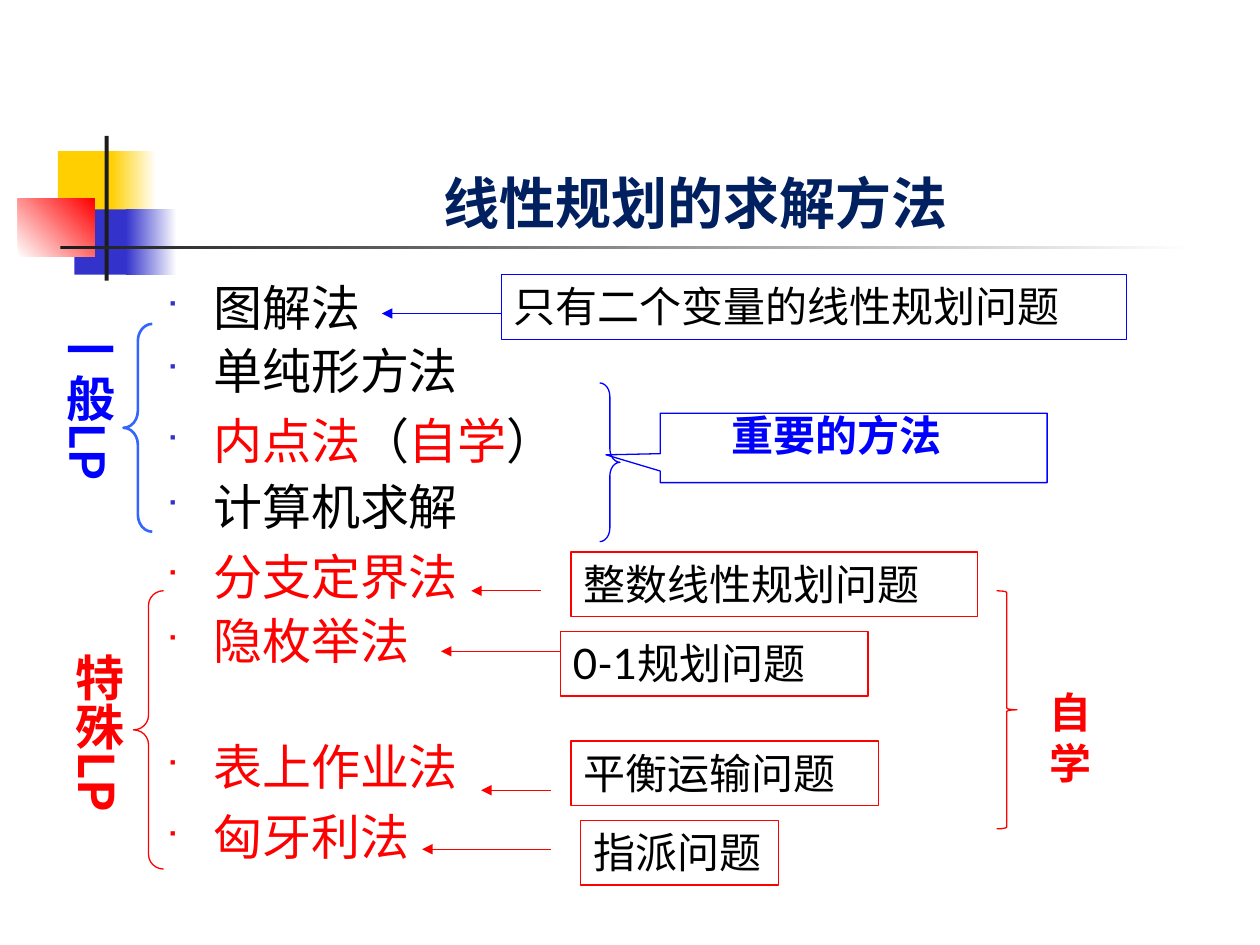
from typing import NamedTuple, Optional

from lxml.etree import SubElement
from pptx import Presentation
from pptx.dml.color import RGBColor
from pptx.enum.shapes import MSO_CONNECTOR, MSO_SHAPE
from pptx.enum.text import MSO_ANCHOR, PP_ALIGN
from pptx.oxml.ns import qn
from pptx.util import Cm, Pt

WHITE = RGBColor(0xFF, 0xFF, 0xFF)
BLACK = RGBColor(0, 0, 0)
CHARCOAL = RGBColor(0x1C, 0x1C, 0x1C)
YELLOW = RGBColor(0xFF, 0xCF, 0x01)
INDIGO = RGBColor(0x33, 0x33, 0xCC)
NAVY = RGBColor(0x00, 0x20, 0x60)
BLUE = RGBColor(0x00, 0x00, 0xFF)
SKY = RGBColor(0x33, 0x66, 0xFF)
RED = RGBColor(0xFF, 0x00, 0x00)

LATO = "Lato"
NOTO = "Noto Sans CJK SC"


class Area(NamedTuple):
    """Left, top, width and height in centimetres."""
    left: float
    top: float
    width: float
    height: float

    def lengths(self) -> list:
        return [Cm(value) for value in self]


class Block(NamedTuple):
    area: Area
    start: RGBColor
    end: Optional[RGBColor] = None
    angle: float = 0


class Method(NamedTuple):
    spans: list
    bullet: RGBColor
    space_before: float


class Label(NamedTuple):
    text: str
    area: Area
    color: RGBColor


class Arrow(NamedTuple):
    start: float
    end: float
    y: float
    color: RGBColor


class Outline(NamedTuple):
    kind: MSO_SHAPE
    area: Area
    color: RGBColor
    weight: float
    adjustments: tuple


class Caption(NamedTuple):
    text: str
    area: Area
    size: float
    color: RGBColor
    font: str = LATO
    vertical: bool = False


BLOCKS = [
    Block(Area(1.17, 3.05, 1.22, 1.32), YELLOW),
    Block(Area(2.24, 3.05, 0.91, 1.32), YELLOW, WHITE),
    Block(Area(1.5, 4.22, 1.17, 1.32), INDIGO),
    Block(Area(2.54, 4.22, 1.02, 1.32), INDIGO, WHITE),
    Block(Area(0.36, 4.01, 1.55, 1.17), WHITE, RED, 45),
    Block(Area(2.11, 2.74, 0.08, 2.92), CHARCOAL),
    Block(Area(1.22, 4.95, 22.86, 0.08), CHARCOAL, WHITE),
]
METHODS = [
    Method([("图解法", BLACK)], INDIGO, 5.6),
    Method([("单纯形方法", BLACK)], INDIGO, 5.6),
    Method([("内点法", RED), ("（", BLACK), ("自学", RED), ("）", BLACK)], INDIGO, 10),
    Method([("计算机求解", BLACK)], INDIGO, 7),
    Method([("分支定界法", RED)], RED, 10),
    Method([("隐枚举法", RED)], RED, 6.5),
    Method([("表上作业法", RED)], RED, 41.5),
    Method([("匈牙利法", RED)], RED, 10),
]
LABELS = [
    Label("只有二个变量的线性规划问题", Area(10.11, 5.54, 12.6, 1.3), BLUE),
    Label("整数线性规划问题", Area(11.51, 11.13, 8.2, 1.3), RED),
    Label("0-1规划问题", Area(11.3, 12.73, 6.2, 1.3), RED),
    Label("平衡运输问题", Area(11.51, 14.94, 6.2, 1.3), RED),
    Label("指派问题", Area(11.71, 16.54, 3.99, 1.3), RED),
]
ARROWS = [
    Arrow(10.11, 7.7, 6.32, BLUE),
    Arrow(10.9, 9.5, 11.91, RED),
    Arrow(11.3, 8.89, 13.13, RED),
    Arrow(11.1, 9.7, 15.93, RED),
    Arrow(11.1, 8.51, 17.12, RED),
]
OUTLINES = [
    Outline(MSO_SHAPE.LEFT_BRACE, Area(2.49, 6.53, 0.58, 4.19), SKY, 1.5, (0.59, 0.5)),
    Outline(MSO_SHAPE.LEFT_BRACE, Area(2.69, 11.91, 0.61, 5.61), RED, 0.75, (0.48, 0.5)),
    Outline(MSO_SHAPE.RECTANGULAR_CALLOUT, Area(13.31, 8.33, 7.8, 1.4), BLUE, 0.75, (-0.64, 0.1)),
    Outline(MSO_SHAPE.RIGHT_BRACE, Area(12.09, 7.72, 0.41, 3.2), BLUE, 0.75, (0.67, 0.5)),
    Outline(MSO_SHAPE.RIGHT_BRACE, Area(20.09, 11.91, 0.41, 4.8), RED, 0.75, ()),
]
CAPTIONS = [
    Caption("一般LP", Area(0.81, 6.32, 1.7, 4.6), 28, BLUE, vertical=True),
    Caption("特殊LP", Area(0.99, 12.93, 1.7, 4.19), 28, RED, NOTO, True),
    Caption("重要的方法", Area(14.5, 8.13, 5.99, 1.27), 24, BLUE),
    Caption("自学", Area(20.9, 13.72, 1.19, 2.31), 24, RED),
]


def add_span(para, text: str, color: RGBColor, font: str = LATO) -> None:
    span = para.add_run()
    span.text = text
    span.font.color.rgb = color
    span.font.name = font
    SubElement(span.font._element, qn("a:ea"), typeface=font)


def add_block(page, block: Block) -> None:
    box = page.shapes.add_shape(MSO_SHAPE.RECTANGLE, *block.area.lengths())
    box.shadow.inherit = False
    box.line.fill.background()
    if block.end is None:
        box.fill.solid()
        box.fill.fore_color.rgb = block.start
        return
    box.fill.gradient()
    box.fill.gradient_angle = block.angle
    for stop, color, position in zip(box.fill.gradient_stops, (block.start, block.end), (0, 1)):
        stop.color.rgb = color
        stop.position = position


def add_outline(page, outline: Outline):
    shape = page.shapes.add_shape(outline.kind, *outline.area.lengths())
    shape.shadow.inherit = False
    shape.fill.background()
    shape.line.color.rgb = outline.color
    shape.line.width = Pt(outline.weight)
    for index, value in enumerate(outline.adjustments):
        shape.adjustments[index] = value
    return shape


def add_label(page, label: Label) -> None:
    box = add_outline(page, Outline(MSO_SHAPE.RECTANGLE, label.area, label.color, 0.75, ()))
    box.text_frame.vertical_anchor = MSO_ANCHOR.TOP
    para = box.text_frame.paragraphs[0]
    para.alignment = PP_ALIGN.LEFT
    para.font.size = Pt(24)
    add_span(para, label.text, BLACK)


def add_arrow(page, arrow: Arrow) -> None:
    line = page.shapes.add_connector(
        MSO_CONNECTOR.STRAIGHT, Cm(arrow.start), Cm(arrow.y), Cm(arrow.end), Cm(arrow.y))
    line.line.color.rgb = arrow.color
    line.line.width = Pt(0.75)
    SubElement(line.line._get_or_add_ln(), qn("a:tailEnd"), type="triangle")
    SubElement(line._element.spPr, qn("a:effectLst"))


def add_caption(page, caption: Caption):
    box = page.shapes.add_textbox(*caption.area.lengths())
    box.text_frame.word_wrap = True
    if caption.vertical:
        box.text_frame._txBody.bodyPr.set("vert", "eaVert")
    para = box.text_frame.paragraphs[0]
    para.font.size = Pt(caption.size)
    para.font.bold = True
    add_span(para, caption.text, caption.color, caption.font)
    return box


def add_methods(page, area: Area, methods: list) -> None:
    frame = page.shapes.add_textbox(*area.lengths()).text_frame
    frame.word_wrap = True
    for index, method in enumerate(methods):
        para = frame.add_paragraph() if index else frame.paragraphs[0]
        para.line_spacing = 0.9
        para.space_before = Pt(method.space_before)
        para.font.size = Pt(28)
        for text, color in method.spans:
            add_span(para, text, color)
        # Hanging square bullet, placed ahead of the default run properties
        properties = para._p.get_or_add_pPr()
        properties.set("marL", str(Cm(0.95)))
        properties.set("indent", str(-Cm(0.95)))
        defaults = properties.find(qn("a:defRPr"))
        color = SubElement(properties, qn("a:buClr"))
        SubElement(color, qn("a:srgbClr"), val=str(method.bullet))
        SubElement(properties, qn("a:buSzPct"), val="60000")
        SubElement(properties, qn("a:buFont"), typeface="Wingdings")
        SubElement(properties, qn("a:buChar"), char="■")
        properties.append(defaults)


def main() -> None:
    deck = Presentation()
    deck.slide_width, deck.slide_height = Cm(25.4), Cm(19.05)
    page = deck.slides.add_slide(deck.slide_layouts[6])

    # Corner ornament and title
    for block in BLOCKS:
        add_block(page, block)
    title = add_caption(page, Caption("线性规划的求解方法", Area(3.2, 2.74, 21.64, 2.13), 32, NAVY, NOTO))
    title.text_frame.vertical_anchor = MSO_ANCHOR.BOTTOM
    title.text_frame.paragraphs[0].alignment = PP_ALIGN.CENTER

    # Methods, and the problems they solve
    add_methods(page, Area(3.1, 5.61, 20.8, 12.32), METHODS)
    for label in LABELS:
        add_label(page, label)
    for arrow in ARROWS:
        add_arrow(page, arrow)

    # Groupings
    for outline in OUTLINES:
        add_outline(page, outline)
    for caption in CAPTIONS:
        add_caption(page, caption)
    deck.save("out.pptx")


if __name__ == "__main__":
    main()
